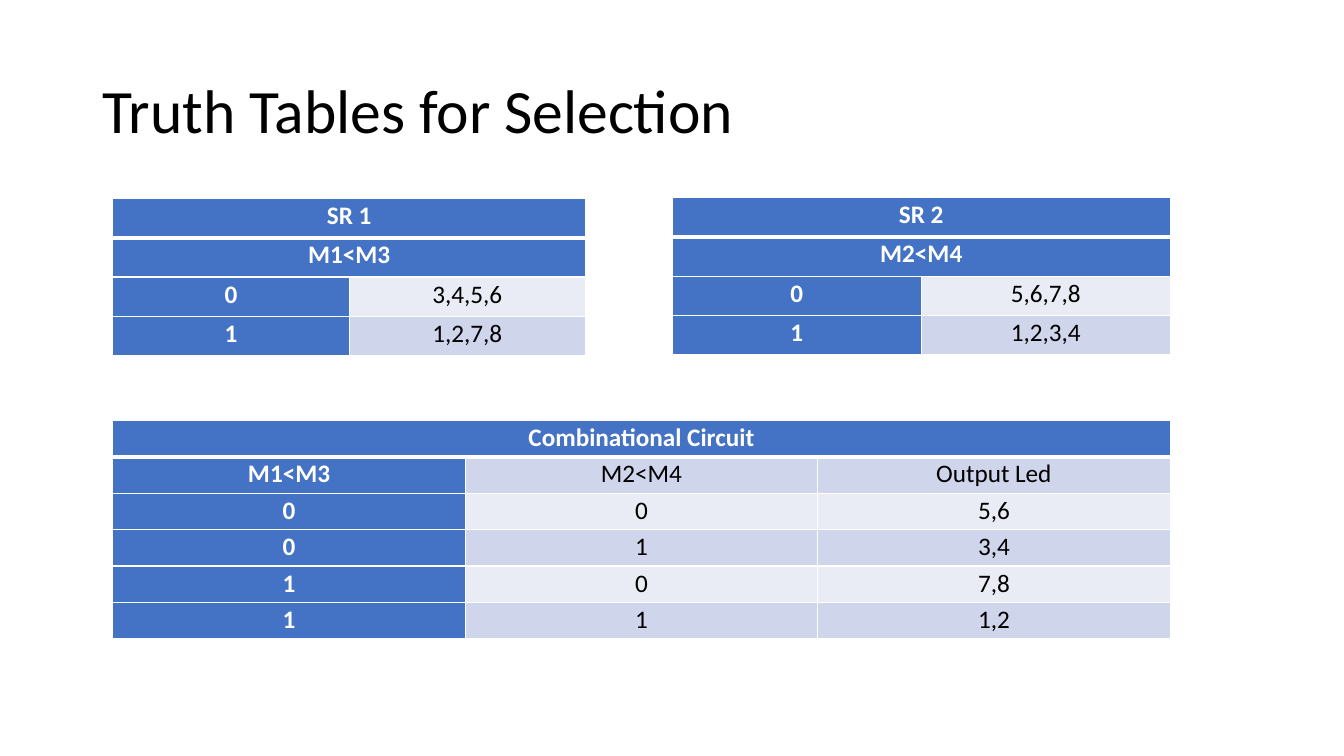
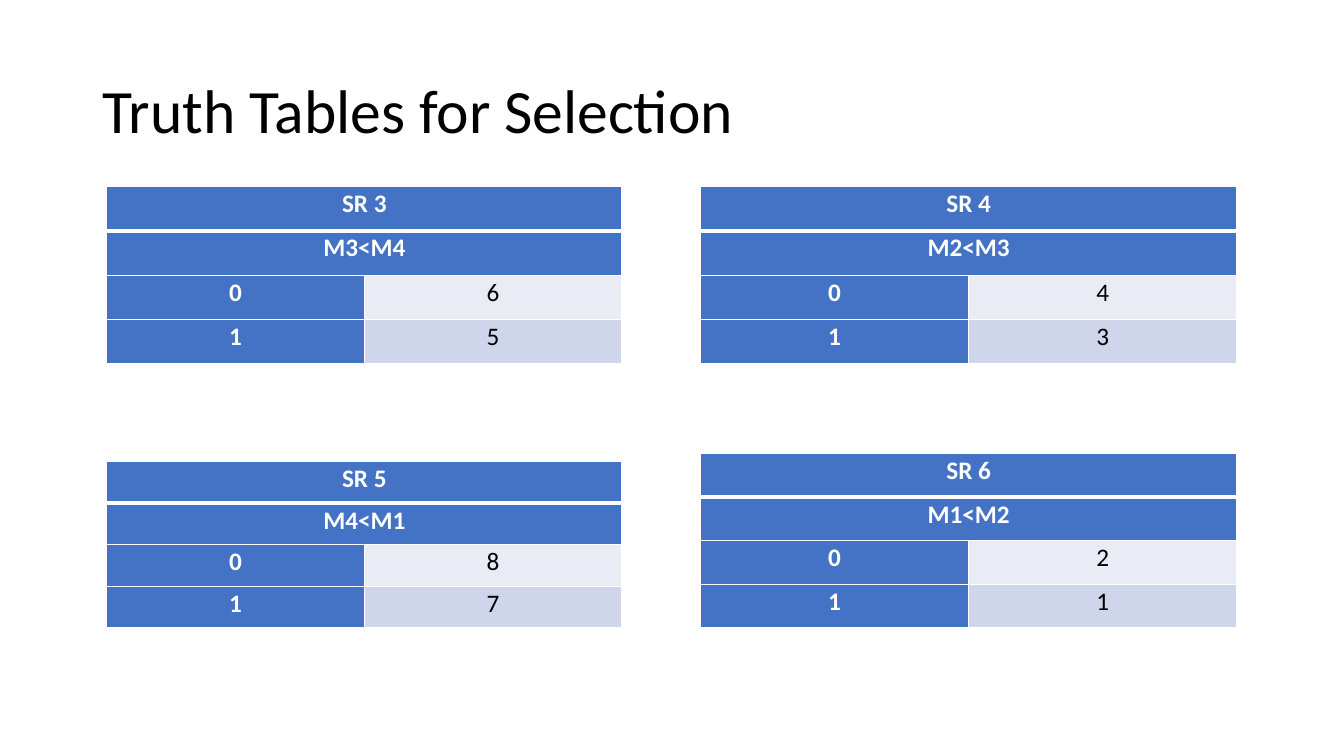
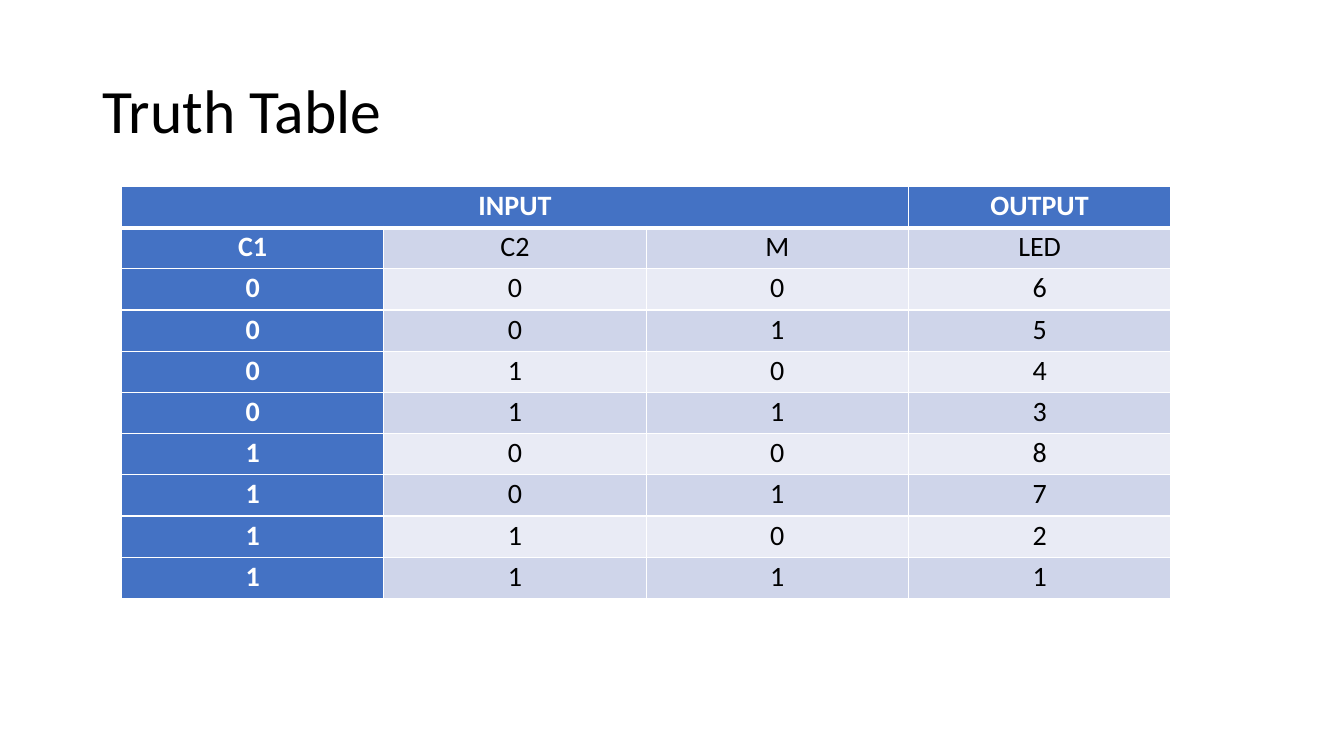
"""Build three slides of truth tables for LED selection."""
from itertools import product

from pptx import Presentation
from pptx.dml.color import RGBColor
from pptx.enum.text import MSO_ANCHOR, MSO_AUTO_SIZE, PP_ALIGN
from pptx.oxml import parse_xml
from pptx.oxml.ns import nsdecls
from pptx.util import Pt

FONT = "Calibri"
BLUE, DARK, PALE = "4472C4", "CFD5EA", "E9EBF5"
WHITE, BLACK = "FFFFFF", "000000"


def style(par, size, hue, bold, align, space):
    par.alignment = align
    par.line_spacing = space
    for run in par.runs:
        font = run.font
        font.name, font.size, font.bold = FONT, Pt(size), bold
        font.color.rgb = RGBColor.from_string(hue)


def add_grid(slide, left, top, width, height, size, rows):
    count = max(len(row) for row in rows)
    table = slide.shapes.add_table(
        len(rows), count, Pt(left), Pt(top), Pt(width), Pt(height)).table
    table.first_col = True
    for col in table.columns:
        col.width = Pt(width / count)
    for r, row in enumerate(rows):
        table.rows[r].height = Pt(height / len(rows))
        span = count - len(row) + 1
        if span > 1:
            table.cell(r, 0).merge(table.cell(r, span - 1))
        words = [row[0]] + [""] * (span - 1) + list(row[1:])
        for c, word in enumerate(words):
            cell = table.cell(r, c)
            cell.margin_left = cell.margin_right = Pt(5)
            cell.margin_top = cell.margin_bottom = Pt(0)
            thick = {"T": 3 if r == 1 else 1, "B": 3 if r == 0 else 1}
            props = cell._tc.get_or_add_tcPr()
            for side in "LRTB":
                props.append(parse_xml(
                    f'<a:ln{side} {nsdecls("a")} w="{Pt(thick.get(side, 1))}">'
                    f'<a:solidFill><a:srgbClr val="{WHITE}"/></a:solidFill>'
                    f'</a:ln{side}>'))
            head = r == 0 or c == 0 or c < span
            cell.fill.solid()
            cell.fill.fore_color.rgb = RGBColor.from_string(
                BLUE if head else DARK if r % 2 else PALE)
            if word:
                cell.text_frame.text = word
                par = cell.text_frame.paragraphs[0]
                style(par, size, WHITE if head else BLACK, head,
                      PP_ALIGN.CENTER, 1.07)
                par.space_after = Pt(8)


deck = Presentation()
deck.slide_width, deck.slide_height = Pt(960), Pt(540)

slides = []
for name in ["Truth Tables for Selection"] * 2 + ["Truth Table"]:
    slide = deck.slides.add_slide(deck.slide_layouts[5])
    title = slide.shapes.title
    title.left, title.top = Pt(66), Pt(28.75)
    title.width, title.height = Pt(828), Pt(104.4)
    frame = title.text_frame
    frame.text = name
    frame.auto_size = MSO_AUTO_SIZE.NONE
    frame.vertical_anchor = MSO_ANCHOR.MIDDLE
    style(frame.paragraphs[0], 44, BLACK, False, PP_ALIGN.LEFT, 0.9)
    slides.append(slide)
first, second, third = slides

pairs = [
    (first, 80.6, 141.8, 337.7, 112.3, "SR 1", "M1<M3", "3,4,5,6", "1,2,7,8"),
    (first, 480.2, 141.1, 355.7, 112.3, "SR 2", "M2<M4", "5,6,7,8", "1,2,3,4"),
    (second, 76.3, 133.2, 367.9, 126.7, "SR 3", "M3<M4", "6", "5"),
    (second, 500.4, 133.2, 383, 126.7, "SR 4", "M2<M3", "4", "3"),
    (second, 76.3, 329.8, 367.9, 118.8, "SR 5", "M4<M1", "8", "7"),
    (second, 500.4, 324, 383, 124.6, "SR 6", "M1<M2", "2", "1"),
]
for slide, left, top, width, height, name, test, low, high in pairs:
    add_grid(slide, left, top, width, height, 18,
             [[name], [test], ["0", low], ["1", high]])

leds = ["5,6", "3,4", "7,8", "1,2"]
rows = [[*bits, led] for bits, led in zip(product("01", repeat=2), leds)]
add_grid(first, 80.6, 300.2, 755.3, 156.3, 18,
         [["Combinational Circuit"], ["M1<M3", "M2<M4", "Output Led"], *rows])

rows = [[*bits, led] for bits, led in zip(product("01", repeat=3), "65438721")]
add_grid(third, 86.8, 133.2, 749.5, 294.5, 20,
         [["INPUT", "OUTPUT"], ["C1", "C2", "M", "LED"], *rows])

deck.save("out.pptx")
